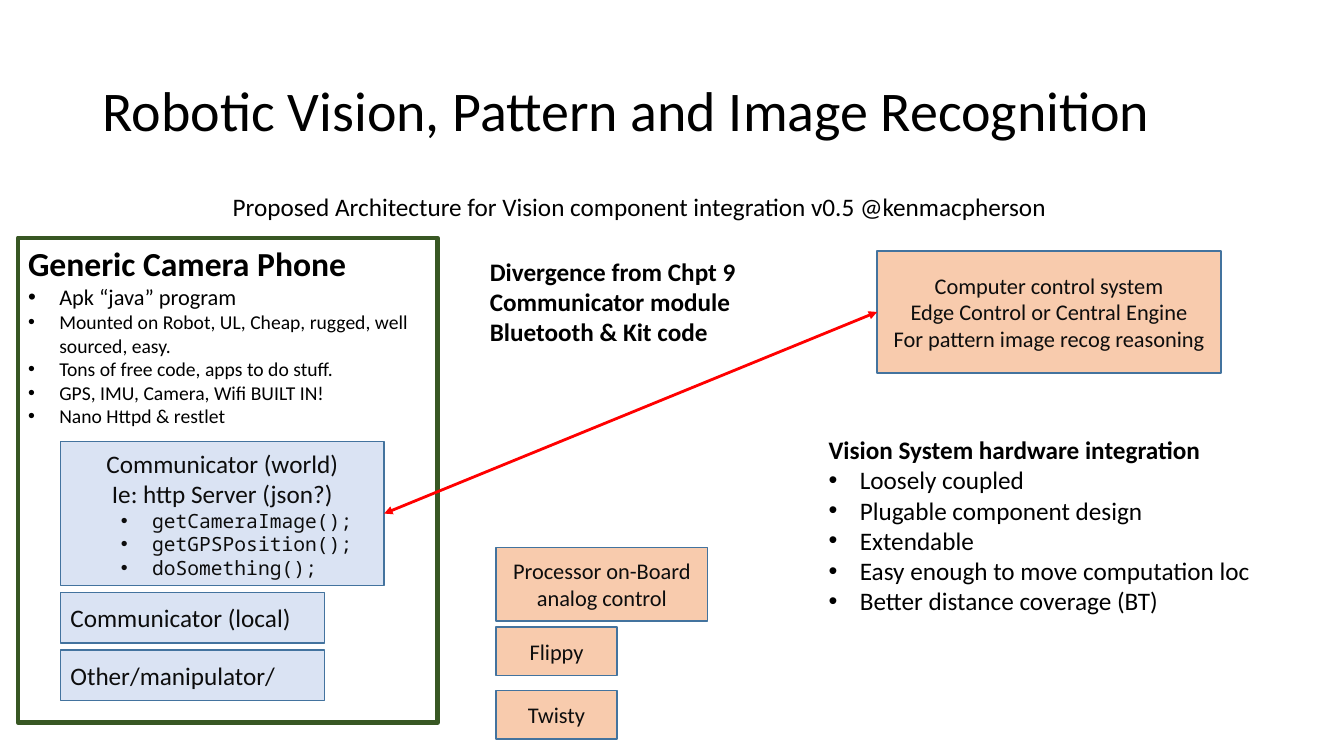
from lxml.etree import SubElement
from pptx import Presentation
from pptx.dml.color import RGBColor
from pptx.enum.shapes import MSO_CONNECTOR, MSO_SHAPE
from pptx.enum.text import MSO_ANCHOR, MSO_AUTO_SIZE, PP_ALIGN
from pptx.oxml.ns import qn
from pptx.util import Inches, Pt

BLUE, ORANGE, EDGE = "DAE3F3", "F8CBAD", "43739E"
BLACK, INK = "000000", "0D0D0D"
RIGHT_SITE, LEFT_SITE = 3, 1


def color(value):
    """Turn a hex string into a colour."""
    return RGBColor.from_string(value)


def add_bullet(paragraph, indent):
    """Give a paragraph a hanging round bullet."""
    properties = paragraph._p.get_or_add_pPr()
    properties.set("marL", str(Inches(indent)))
    properties.set("indent", str(Inches(-0.31)))
    SubElement(properties, qn("a:buFont")).set("typeface", "Arial")
    SubElement(properties, qn("a:buChar")).set("char", "•")


def add_text(frame, text, size=18, font="Calibri", ink=BLACK, bold=False,
             align=PP_ALIGN.LEFT, bullet=None, level=0, spacing=None):
    """Write one paragraph, using the first one while it is empty."""
    first = frame.paragraphs[0]
    paragraph = frame.add_paragraph() if first.runs else first
    paragraph.level = level
    if bullet is not None:
        add_bullet(paragraph, bullet)
    paragraph.alignment = align
    if spacing:
        paragraph.line_spacing = spacing
    run = paragraph.add_run()
    run.text = text
    run.font.name = font
    run.font.size = Pt(size)
    run.font.bold = bold
    run.font.color.rgb = color(ink)


def add_label(slide, box, wrap=True, grow=True, anchor=MSO_ANCHOR.TOP):
    """Add a text box and return its frame."""
    frame = slide.shapes.add_textbox(*map(Inches, box)).text_frame
    frame.word_wrap = wrap
    frame.vertical_anchor = anchor
    frame.auto_size = MSO_AUTO_SIZE.SHAPE_TO_FIT_TEXT if grow else MSO_AUTO_SIZE.NONE
    return frame


def add_box(slide, box, fill=None, line=EDGE, width=1, anchor=MSO_ANCHOR.MIDDLE):
    """Add an outlined rectangle."""
    shape = slide.shapes.add_shape(MSO_SHAPE.RECTANGLE, *map(Inches, box))
    shape.shadow.inherit = False
    if fill:
        shape.fill.solid()
        shape.fill.fore_color.rgb = color(fill)
    else:
        shape.fill.background()
    shape.line.color.rgb = color(line)
    shape.line.width = Pt(width)
    shape.text_frame.word_wrap = True
    shape.text_frame.vertical_anchor = anchor
    return shape


def add_orange_box(slide, box, lines):
    """Add an orange component with centred lines."""
    shape = add_box(slide, box, ORANGE)
    for line in lines:
        add_text(shape.text_frame, line, size=16, ink=INK, align=PP_ALIGN.CENTER)
    return shape


def add_header(slide, box):
    """Add the title and the line below it."""
    left, top, width, height = box
    title = add_label(slide, box, grow=False, anchor=MSO_ANCHOR.MIDDLE)
    add_text(title, "Robotic Vision, Pattern and Image Recognition", size=40, spacing=0.9)
    subtitle = add_label(slide, (left + 1.29, top + height, 8.36, 0.4), wrap=False)
    add_text(subtitle, "Proposed Architecture for Vision component integration v0.5 @kenmacpherson")


def add_phone(slide, box):
    """Add the phone panel and return its world communicator."""
    left, top, width, height = box
    panel = add_box(slide, box, line="385723", width=3.25, anchor=MSO_ANCHOR.TOP).text_frame
    add_text(panel, "Generic Camera Phone", size=24, bold=True)
    add_text(panel, "Apk “java” program", size=16, bullet=0.31)
    for feature in ("Mounted on Robot, UL, Cheap, rugged, well sourced, easy.",
                    "Tons of free code, apps to do stuff.",
                    "GPS, IMU, Camera, Wifi BUILT IN!",
                    "Nano Httpd & restlet"):
        add_text(panel, feature, size=14, bullet=0.31)

    inner = left + 0.42
    communicator = add_box(slide, (inner, top + 2.02, 3.21, 1.43), BLUE)
    for line in ("Communicator (world)", "Ie: http Server (json?)"):
        add_text(communicator.text_frame, line, ink=INK, align=PP_ALIGN.CENTER)
    for call in ("getCameraImage();", "getGPSPosition();", "doSomething();"):
        add_text(communicator.text_frame, call, size=14, font="Noto Sans Mono",
                 ink=INK, bullet=0.81, level=1)

    for row, name in enumerate(("Communicator (local)", "Other/manipulator/")):
        module = add_box(slide, (inner, top + 3.52 + row * 0.57, 2.62, 0.5), BLUE)
        add_text(module.text_frame, name, ink=INK)
    return communicator


def add_divergence(slide, box):
    """Add the bold note between the phone and the control system."""
    frame = add_label(slide, box)
    for line in ("Divergence from Chpt 9", "Communicator module", "Bluetooth & Kit code"):
        add_text(frame, line, bold=True)


def add_board(slide, box):
    """Add the on-board control and its two parts."""
    left, top, width, height = box
    add_orange_box(slide, (left, top, width, 0.73), ["Processor on-Board analog control"])
    for row, name in enumerate(("Flippy", "Twisty")):
        add_orange_box(slide, (left, top + 0.79 + row * 0.63, 1.2, 0.48), [name])


def add_integration(slide, box):
    """Add the list on hardware integration."""
    frame = add_label(slide, box, wrap=False)
    add_text(frame, "Vision System hardware integration", bold=True)
    for benefit in ("Loosely coupled", "Plugable component design", "Extendable",
                    "Easy enough to move computation loc", "Better distance coverage (BT)"):
        add_text(frame, benefit, bullet=0.31)


def add_link(slide, source, target):
    """Join two boxes with a red double arrow."""
    link = slide.shapes.add_connector(MSO_CONNECTOR.STRAIGHT, 0, 0, 0, 0)
    link.begin_connect(source, RIGHT_SITE)
    link.end_connect(target, LEFT_SITE)
    link.line.color.rgb = color("FF0000")
    link.line.width = Pt(2)
    outline = link.line._get_or_add_ln()
    for end in ("a:headEnd", "a:tailEnd"):
        SubElement(outline, qn(end)).set("type", "triangle")
    SubElement(link._element.spPr, qn("a:effectLst"))


def main():
    """Build and save the slide."""
    presentation = Presentation()
    presentation.slide_width = Inches(13.33)
    presentation.slide_height = Inches(7.5)
    slide = presentation.slides.add_slide(presentation.slide_layouts[6])
    add_header(slide, (0.92, 0.4, 11.5, 1.45))
    communicator = add_phone(slide, (0.18, 2.36, 4.16, 4.81))
    control = add_orange_box(slide, (8.7, 2.49, 3.41, 1.21), [
        "Computer control system",
        "Edge Control or Central Engine",
        "For pattern image recog reasoning",
    ])
    add_link(slide, communicator, control)
    add_board(slide, (4.92, 5.43, 2.1, 1.9))
    add_integration(slide, (8.12, 4.26, 4.43, 1.92))
    add_divergence(slide, (4.76, 2.49, 3.53, 1.01))
    presentation.save("out.pptx")


if __name__ == "__main__":
    main()
